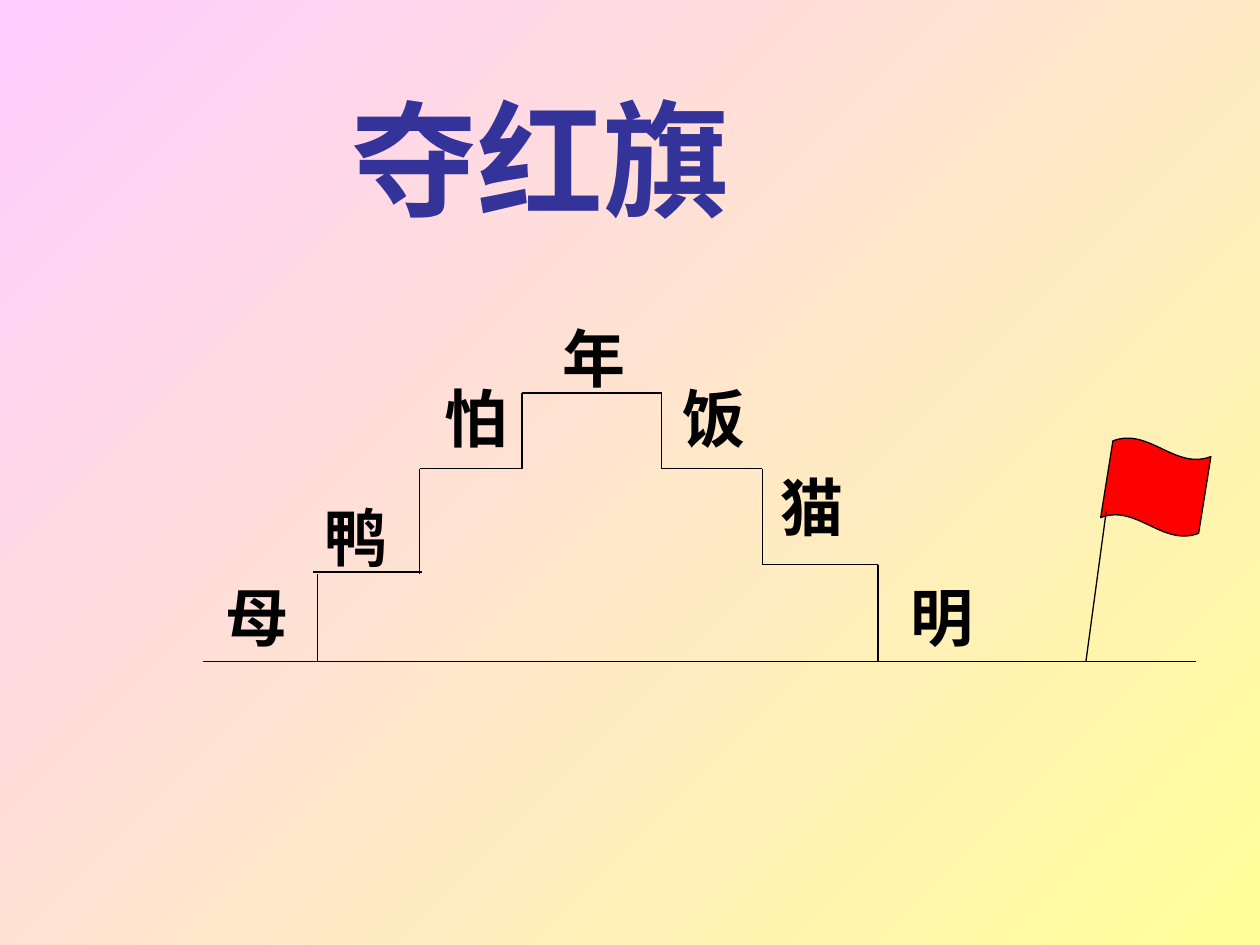
"""Build the slide of a staircase of characters leading to a red flag."""
from dataclasses import dataclass
from itertools import pairwise

from lxml.etree import SubElement
from pptx import Presentation
from pptx.dml.color import RGBColor
from pptx.enum.lang import MSO_LANGUAGE_ID
from pptx.enum.shapes import MSO_CONNECTOR, MSO_SHAPE
from pptx.enum.text import MSO_ANCHOR, MSO_AUTO_SIZE, PP_ALIGN
from pptx.oxml.ns import qn
from pptx.util import Cm, Pt


@dataclass(frozen=True)
class Theme:
    font: str = "Arial"
    pink: RGBColor = RGBColor(0xFF, 0xCC, 0xFF)
    yellow: RGBColor = RGBColor(0xFF, 0xFF, 0x99)
    title: RGBColor = RGBColor(0x33, 0x33, 0x99)
    ink: RGBColor = RGBColor(0, 0, 0)
    flag: RGBColor = RGBColor(0xFF, 0, 0)
    title_size: Pt = Pt(72)
    character_size: Pt = Pt(36)
    line_width: Pt = Pt(0.75)


theme = Theme()


def write_text(shape, text, size, color, alignment):
    text_frame = shape.text_frame
    text_frame.text = text
    text_frame.word_wrap = True
    text_frame.auto_size = MSO_AUTO_SIZE.NONE
    paragraph = text_frame.paragraphs[0]
    paragraph.alignment = alignment
    font = paragraph.runs[0].font
    font.name = theme.font
    font.size = size
    font.bold = True
    font.color.rgb = color
    font.language_id = MSO_LANGUAGE_ID.SIMPLIFIED_CHINESE


def draw_path(slide, points):
    for start, end in pairwise(points):
        connector = slide.shapes.add_connector(
            MSO_CONNECTOR.STRAIGHT, *(Cm(value) for value in start + end))
        connector.line.color.rgb = theme.ink
        connector.line.width = theme.line_width
        SubElement(connector._element.spPr, qn("a:effectLst"))


presentation = Presentation()
presentation.slide_width = Cm(25.4)
presentation.slide_height = Cm(19.05)
slide = presentation.slides.add_slide(presentation.slide_layouts[5])

background = slide.background.fill
background.gradient()
background.gradient_angle = 315
for stop, color, position in zip(background.gradient_stops, (theme.pink, theme.yellow), (0, 1)):
    stop.color.rgb = color
    stop.position = position

title = slide.shapes.title
title.left, title.top, title.width, title.height = Cm(1.6), Cm(1.52), Cm(18.6), Cm(3.3)
write_text(title, "夺红旗", theme.title_size, theme.title, PP_ALIGN.CENTER)
title.text_frame.vertical_anchor = MSO_ANCHOR.MIDDLE

ground = 13.34
top_step, middle_step, left_step, right_step = 7.92, 9.45, 11.58, 11.38
staircase = [
    (8.46, left_step), (8.46, middle_step), (10.52, middle_step), (10.52, top_step),
    (13.34, top_step), (13.34, middle_step), (15.37, middle_step), (15.37, right_step),
    (17.7, right_step), (17.7, ground),
]
first_riser = [(6.4, left_step), (6.4, ground), (4.09, ground)]
ground_line = [(6.4, ground), (24.1, ground)]
first_tread = [(6.3, 11.53), (8.51, 11.53)]
for points in (staircase, first_riser, ground_line, first_tread):
    draw_path(slide, points)

characters = [
    ("年", 11.1, 6.32, 2.0), ("怕", 8.71, 7.52, 1.4), ("鸭", 6.3, 9.93, 1.8),
    ("母", 4.29, 11.53, 1.4), ("饭", 13.51, 7.52, 1.8), ("猫", 15.49, 9.32, 1.6),
    ("明", 18.11, 11.53, 2.6),
]
for character, left, top, width in characters:
    text_box = slide.shapes.add_textbox(Cm(left), Cm(top), Cm(width), Cm(1.78))
    write_text(text_box, character, theme.character_size, theme.ink, PP_ALIGN.LEFT)

flag = slide.shapes.add_shape(MSO_SHAPE.WAVE, Cm(22.3), Cm(8.92), Cm(2.0), Cm(1.8))
flag.adjustments[0] = 0.065
flag.rotation = 9.1
flag.shadow.inherit = False
flag.fill.solid()
flag.fill.fore_color.rgb = theme.flag
flag.line.color.rgb = theme.ink
flag.line.width = theme.line_width
draw_path(slide, [(22.3, 10.31), (21.89, ground)])

presentation.save("out.pptx")
